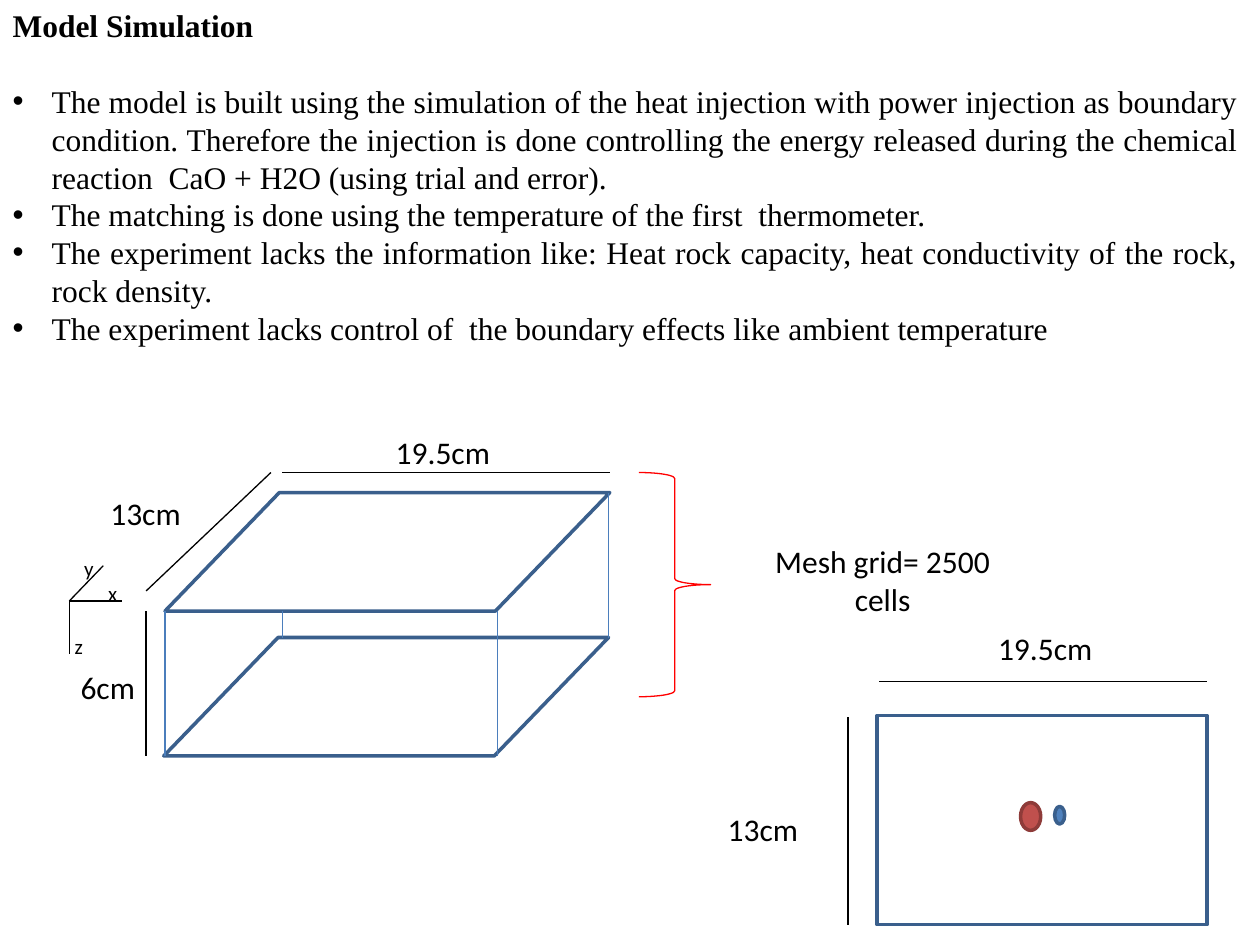
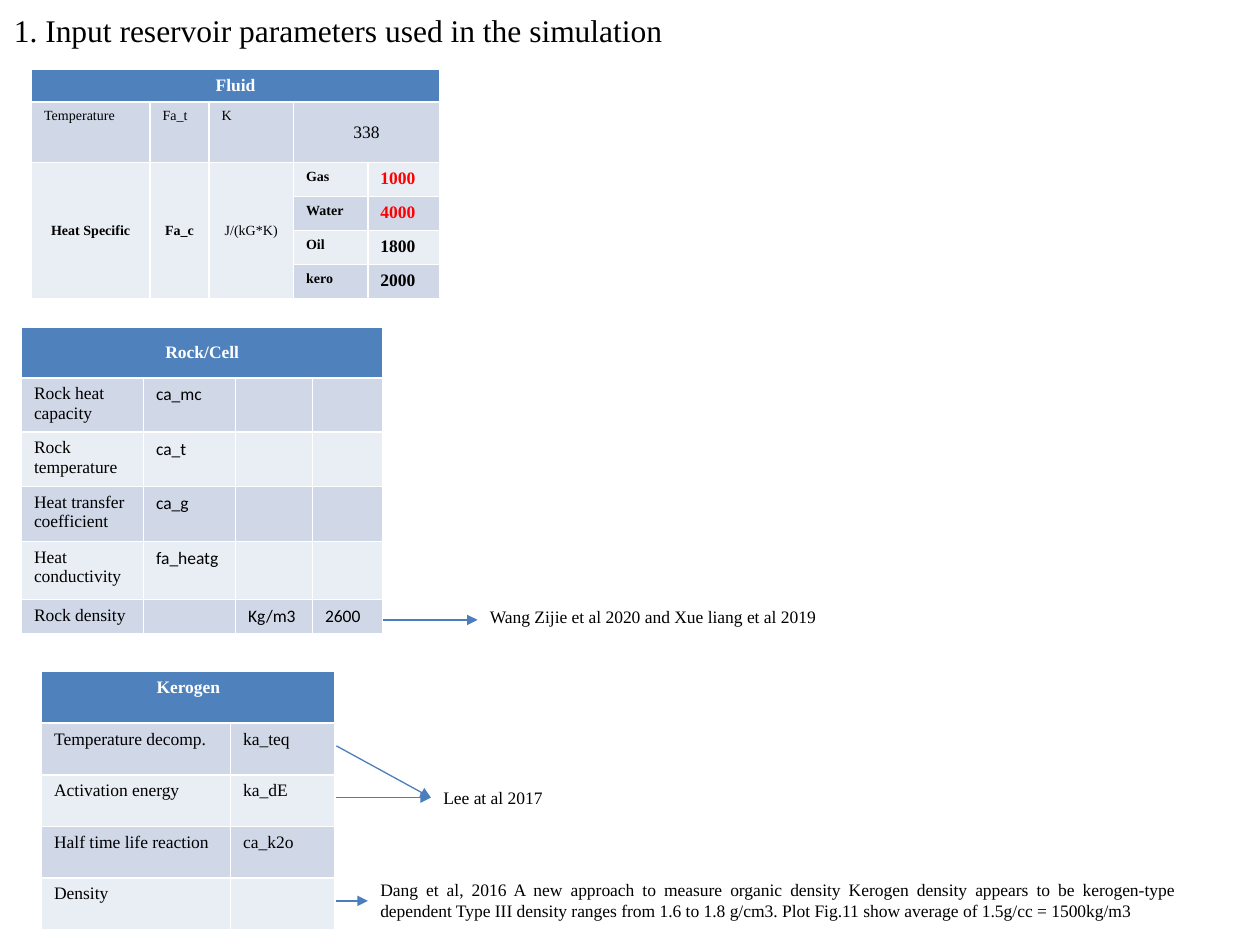
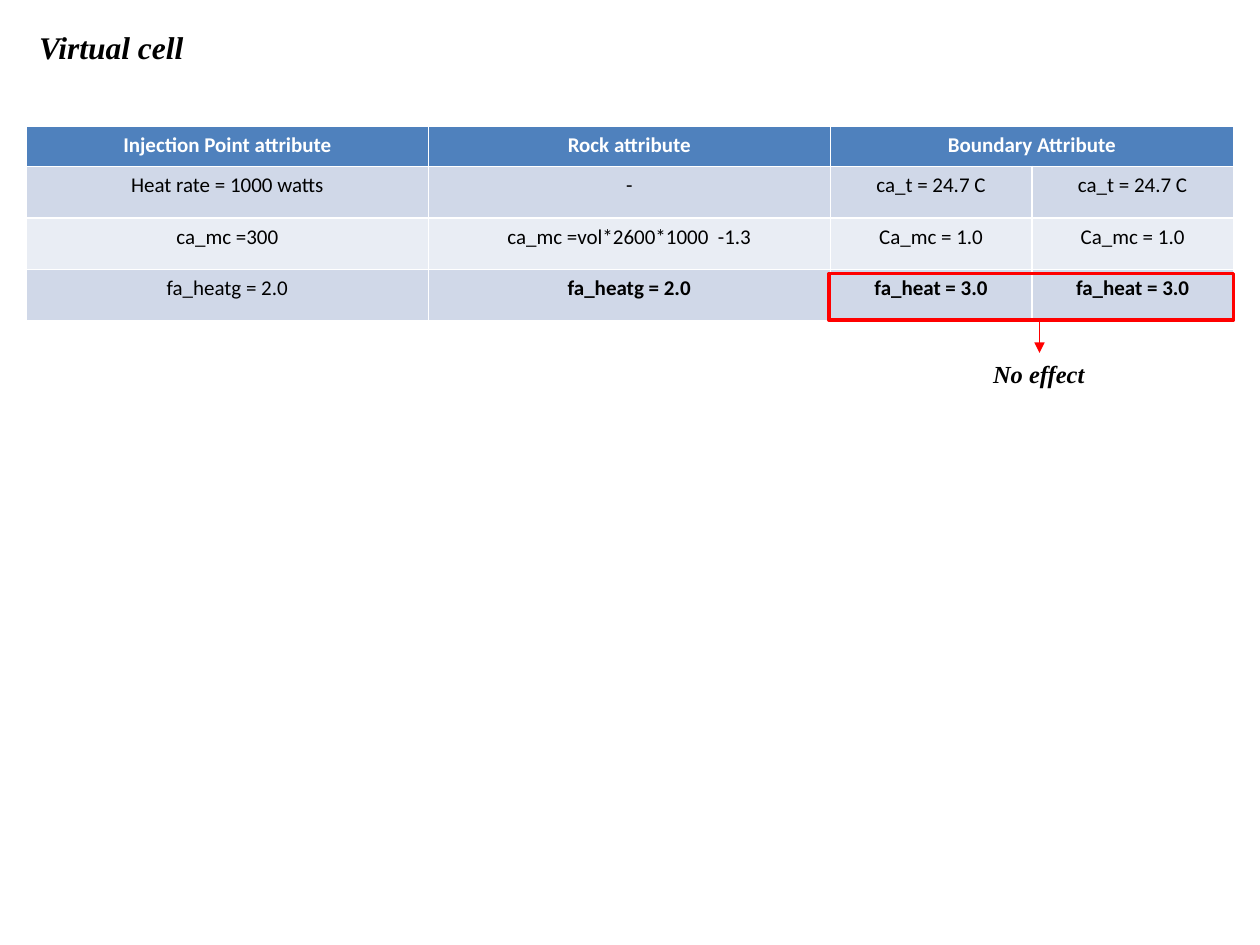
"""Build three slides on a heat injection simulation: model, input parameters and virtual cell."""
import dataclasses

import lxml.etree
import pptx
import pptx.dml.color
import pptx.enum.shapes
import pptx.enum.text
import pptx.oxml.ns
import pptx.util

Inches = pptx.util.Inches
Pt = pptx.util.Pt
qn = pptx.oxml.ns.qn
SHAPE = pptx.enum.shapes.MSO_SHAPE
ALIGN = pptx.enum.text.PP_ALIGN
ANCHOR = pptx.enum.text.MSO_ANCHOR
SERIF = "Times New Roman"
SANS = "Calibri"
COLORS = {
    "black": "000000",
    "white": "FFFFFF",
    "red": "FF0000",
    "blue": "4F81BD",
    "outline": "3A5F8C",
    "edge": "4B7EBC",
    "injector": "C0504D",
    "injector outline": "8E3B39",
    "dark band": "D0D8E8",
    "light band": "E9EDF4",
}


@dataclasses.dataclass
class Cell:
    """Text of one table cell with what differs from its table."""
    text: str
    size: float = None
    font: str = None
    color: str = "black"
    bold: bool = False
    align: object = ALIGN.LEFT
    middle: bool = False


class Deck:
    """Shared style and the slide being built."""

    def __init__(self):
        self.presentation = pptx.Presentation()
        self.presentation.slide_width = Inches(10)
        self.presentation.slide_height = Inches(7.5)
        self.slide = None

    def color(self, name):
        return pptx.dml.color.RGBColor.from_string(COLORS[name])

    def place(self, shape, box):
        shape.left, shape.top, shape.width, shape.height = map(Inches, box)

    def format(self, paragraph, size, font=SERIF, color="black", bold=False,
               italic=False, align=ALIGN.LEFT):
        paragraph.alignment = align
        paragraph.font.size = Pt(size)
        paragraph.font.name = font
        paragraph.font.bold = bold
        paragraph.font.italic = italic
        paragraph.font.color.rgb = self.color(color)

    def add_slide(self, title, box, layout="Title Only", **style):
        self.slide = self.presentation.slides.add_slide(
            self.presentation.slide_layouts.get_by_name(layout))
        shape = self.slide.shapes.title
        self.place(shape, box)
        frame = shape.text_frame
        frame.text = title
        frame.auto_size = pptx.enum.text.MSO_AUTO_SIZE.NONE
        frame.vertical_anchor = ANCHOR.TOP
        self.format(frame.paragraphs[0], 18, **style)

    def bullets(self, items, box, indent=0.31):
        shape = self.slide.placeholders[1]
        self.place(shape, box)
        frame = shape.text_frame
        frame.text = "\n".join(items)
        frame.auto_size = pptx.enum.text.MSO_AUTO_SIZE.NONE
        for paragraph in frame.paragraphs:
            self.format(paragraph, 18, align=ALIGN.JUSTIFY)
            paragraph.space_before = Pt(0)
            properties = paragraph._p.get_or_add_pPr()
            properties.set("marL", str(Inches(indent)))
            properties.set("indent", str(-Inches(indent)))

    def text(self, text, box, size, inset=0.1, **style):
        frame = self.slide.shapes.add_textbox(*map(Inches, box)).text_frame
        frame.word_wrap = True
        frame.margin_left = frame.margin_right = Inches(inset)
        frame.text = text
        self.format(frame.paragraphs[0], size, **style)

    def label(self, text, box, size=18, **style):
        self.text(text, box, size, font=SANS, align=ALIGN.CENTER, **style)

    def shape(self, kind, box, line, fill=None, width=2, adjustment=None):
        shape = self.slide.shapes.add_shape(kind, *map(Inches, box))
        shape.shadow.inherit = False
        shape.line.color.rgb = self.color(line)
        shape.line.width = Pt(width)
        if fill:
            shape.fill.solid()
            shape.fill.fore_color.rgb = self.color(fill)
        else:
            shape.fill.background()
        if adjustment is not None:
            shape.adjustments[0] = adjustment

    def line(self, start, end, color="black", arrow=False):
        connector = self.slide.shapes.add_connector(
            pptx.enum.shapes.MSO_CONNECTOR.STRAIGHT, *map(Inches, start + end))
        connector.line.color.rgb = self.color(color)
        connector.line.width = Pt(0.75)
        properties = connector._element.spPr
        if arrow:
            lxml.etree.SubElement(properties.find(qn("a:ln")), qn("a:tailEnd"), type="triangle")
        lxml.etree.SubElement(properties, qn("a:effectLst"))

    def table(self, position, columns, heights, rows, merges=(), size=10, font=SERIF):
        box = (*position, sum(columns), sum(heights))
        table = self.slide.shapes.add_table(len(rows), len(columns), *map(Inches, box)).table
        for column, width in zip(table.columns, columns):
            column.width = Inches(width)
        for row, height in zip(table.rows, heights):
            row.height = Inches(height)
        for top, left, bottom, right in merges:
            table.cell(top, left).merge(table.cell(bottom, right))
        for row_index, row in enumerate(rows):
            band = "blue" if row_index == 0 else ("light band", "dark band")[row_index % 2]
            for column_index, content in enumerate(row):
                cell = table.cell(row_index, column_index)
                cell.fill.solid()
                cell.fill.fore_color.rgb = self.color(band)
                self.fill_cell(cell, content, size, font)

    def fill_cell(self, cell, content, size, font):
        if isinstance(content, str):
            content = Cell(content)
        cell.text = content.text
        cell.vertical_anchor = ANCHOR.MIDDLE if content.middle else ANCHOR.TOP
        paragraph = cell.text_frame.paragraphs[0]
        size = content.size or size
        self.format(paragraph, size, content.font or font, content.color,
                    content.bold, align=content.align)
        if not content.text:
            lxml.etree.SubElement(paragraph._p, qn("a:endParaRPr"), sz=str(size * 100))


def header(text, size=10, middle=False):
    return Cell(text, size, color="white", bold=True, align=ALIGN.CENTER, middle=middle)


def centered(text, **style):
    return Cell(text, align=ALIGN.CENTER, **style)


def build_model(deck):
    deck.add_slide("Model Simulation", (0, 0, 9.93, 0.4), "Title and Content", bold=True)
    deck.bullets([
        "The model is built using the simulation of the heat injection with power injection as "
        "boundary condition. Therefore the injection is done controlling the energy released "
        "during the chemical reaction  CaO + H2O (using trial and error).",
        "The matching is done using the temperature of the first  thermometer.",
        "The experiment lacks the information like: Heat rock capacity, heat conductivity of "
        "the rock, rock density.",
        "The experiment lacks control of  the boundary effects like ambient temperature",
    ], (0, 0.6, 9.93, 2.23))

    for left, top in ((1.31, 3.91), (1.3, 5.06)):
        deck.shape(SHAPE.PARALLELOGRAM, (left, top, 3.53, 0.94), "outline", adjustment=0.965)
    for x, top, bottom in ((4.83, 3.91, 5.06), (1.31, 4.85, 6), (3.95, 4.85, 6),
                           (2.24, 4.85, 5.06)):
        deck.line((x, top), (x, bottom), "edge")
    deck.shape(SHAPE.RIGHT_BRACE, (5.07, 3.75, 0.57, 1.78), "red", width=0.75)
    deck.label("Mesh grid= 2500 cells", (5.83, 4.25, 2.35, 0.71))

    dimension_lines = [
        ((2.24, 3.75), (4.84, 3.75)),
        ((1.16, 4.85), (1.16, 6)),
        ((1.16, 4.69), (2.15, 3.75)),
        ((6.98, 5.41), (9.58, 5.41)),
        ((6.73, 7.34), (6.73, 5.69)),
    ]
    axis_origin = (0.55, 4.77)
    axes = [(axis_origin, end) for end in ((0.55, 5.19), (0.97, 4.77), (0.82, 4.49))]
    for start, end in dimension_lines + axes:
        deck.line(start, end)
    for dimension, left, top in (("19.5cm", 2.91, 3.39), ("6cm", 0.25, 5.25),
                                 ("13cm", 0.55, 3.87), ("19.5cm", 7.69, 4.94),
                                 ("13cm", 5.45, 6.38)):
        deck.label(dimension, (left, top, 1.21, 0.35))
    for axis, left, top in (("x", 0.82, 4.56), ("z", 0.55, 4.98), ("y", 0.63, 4.36)):
        deck.label(axis, (left, top, 0.15, 0.26), size=12, inset=0)

    deck.shape(SHAPE.RECTANGLE, (6.96, 5.68, 2.62, 1.66), "outline")
    deck.shape(SHAPE.OVAL, (8.1, 6.37, 0.16, 0.22), "injector outline", "injector")
    deck.shape(SHAPE.OVAL, (8.37, 6.4, 0.08, 0.14), "outline", "blue")


def build_parameters(deck):
    deck.add_slide("1. Input reservoir parameters used in the simulation",
                   (0.01, 0.04, 7.58, 0.4))

    phases = [("Gas", "1000", "red"), ("Water", "4000", "red"),
              ("Oil", "1800", "black"), ("kero", "2000", "black")]
    fluid_rows = [
        [header("Fluid")],
        ["Temperature", "Fa_t", "K", centered("338", size=10, middle=True)],
    ]
    for phase, value, color in phases:
        fluid_rows.append(["", "", "", Cell(phase, bold=True),
                           Cell(value, 10, color=color, bold=True)])
    fluid_rows[2][:3] = [centered("Heat Specific", bold=True, middle=True),
                         centered("Fa_c", bold=True, middle=True),
                         centered("J/(kG*K)", middle=True)]
    deck.table((0.25, 0.55), [0.94, 0.47, 0.67, 0.59, 0.57], [0.26, 0.48] + [0.27] * 4,
               fluid_rows, size=8,
               merges=[(0, 0, 0, 4), (1, 3, 1, 4)] + [(2, column, 5, column) for column in range(3)])

    rock_symbols = [("Rock heat capacity", "ca_mc"), ("Rock temperature", "ca_t"),
                    ("Heat transfer coefficient", "ca_g"), ("Heat conductivity", "fa_heatg")]
    rock_rows = [[name, Cell(symbol, font=SANS), "", ""] for name, symbol in rock_symbols]
    density = ["Rock density", "", Cell("Kg/m3", font=SANS), Cell("2600", font=SANS)]
    deck.table((0.17, 2.6), [0.97, 0.73, 0.61, 0.56], [0.4, 0.43, 0.43, 0.44, 0.46, 0.26],
               [[header("Rock/Cell", middle=True)], *rock_rows, density],
               merges=[(0, 0, 0, 3)])

    deck.table((0.33, 5.33), [1.5, 0.83], [0.41] * 5, [
        [header("Kerogen")],
        ["Temperature decomp.", "ka_teq"],
        ["Activation energy", "ka_dE"],
        ["Half time life reaction", "ca_k2o"],
        ["Density", ""],
    ], merges=[(0, 0, 0, 1)])

    for start, end in (((3.04, 4.92), (3.79, 4.92)), ((2.67, 6.33), (3.42, 6.33)),
                       ((2.67, 5.92), (3.42, 6.33)), ((2.67, 7.15), (2.92, 7.15))):
        deck.line(start, end, "edge", arrow=True)
    deck.text("Wang Zijie et al 2020 and Xue liang et al 2019", (3.79, 4.76, 3.83, 0.27), 10)
    deck.text("Lee at al 2017", (3.42, 6.2, 3.83, 0.27), 10)
    deck.text("Dang et al, 2016 A new approach to measure organic density Kerogen density "
              "appears to be kerogen-type dependent Type III density ranges from 1.6 to 1.8 "
              "g/cm3. Plot Fig.11 show average of 1.5g/cc = 1500kg/m3",
              (2.92, 6.93, 6.5, 0.44), 10, align=ALIGN.JUSTIFY)


def build_virtual_cell(deck):
    deck.add_slide("Virtual cell", (0.21, 0.17, 3.38, 0.4), bold=True, italic=True)
    titles = ["Injection Point attribute", "Rock attribute", "Boundary Attribute"]
    attributes = [
        ["Heat rate = 1000 watts", "-", "ca_t = 24.7 C", "ca_t = 24.7 C"],
        ["ca_mc =300", "ca_mc =vol*2600*1000  -1.3", "Ca_mc = 1.0", "Ca_mc = 1.0"],
        ["fa_heatg = 2.0", "fa_heatg = 2.0", "fa_heat = 3.0", "fa_heat = 3.0"],
    ]
    rows = [[header(title, 12) for title in titles]]
    rows += [[centered(text, bold=text.startswith("fa_") and column > 0)
              for column, text in enumerate(row)] for row in attributes]
    deck.table((0.21, 1), [3.19, 3.19, 1.6, 1.6], [0.32] + [0.41] * 3, rows,
               merges=[(0, 2, 0, 3)], size=12, font=SANS)
    deck.shape(SHAPE.RECTANGLE, (6.58, 2.17, 3.21, 0.37), "red")
    deck.text("No effect", (7.33, 2.8, 1.83, 0.34), 14, bold=True, italic=True,
              align=ALIGN.CENTER)
    deck.line((8.25, 2.54), (8.25, 2.8), "red", arrow=True)


def main():
    deck = Deck()
    build_model(deck)
    build_parameters(deck)
    build_virtual_cell(deck)
    deck.presentation.save("out.pptx")


if __name__ == "__main__":
    main()
